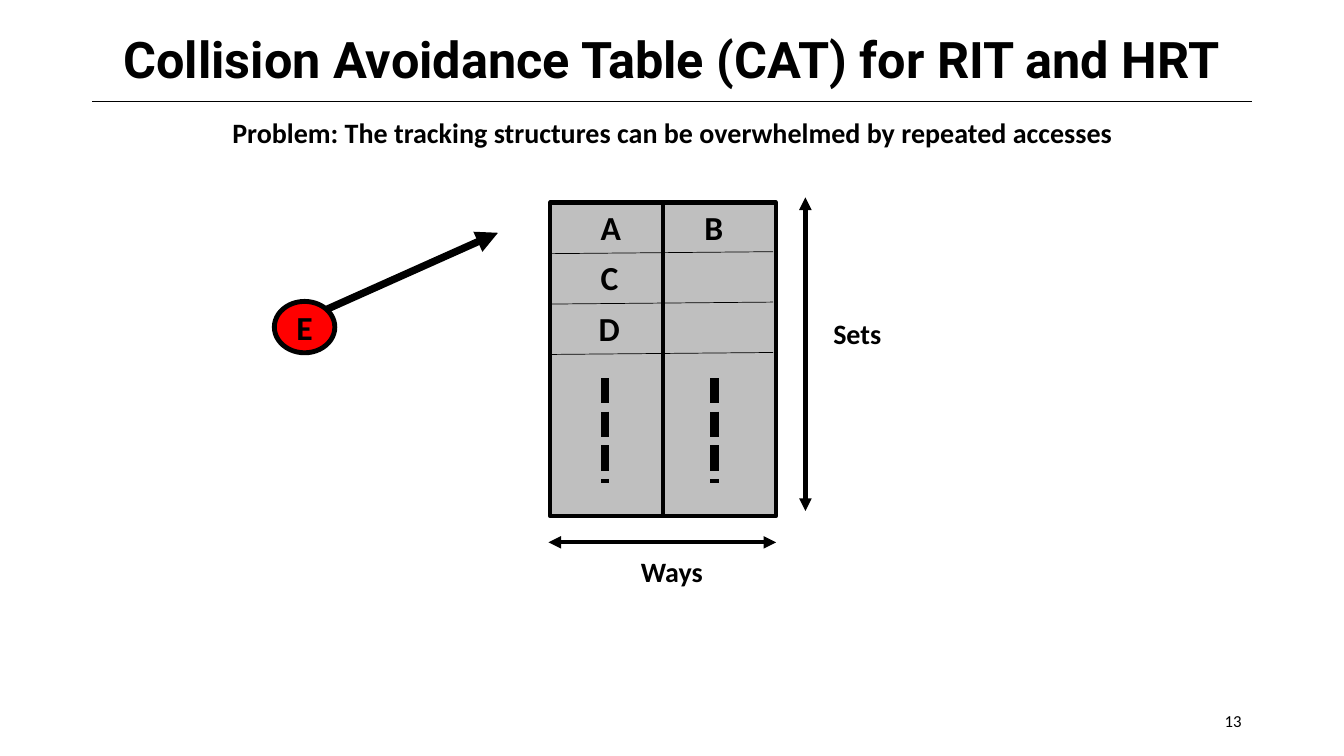
from lxml import etree
from pptx import Presentation
from pptx.dml.color import RGBColor
from pptx.enum.dml import MSO_LINE_DASH_STYLE as Dash
from pptx.enum.shapes import MSO_CONNECTOR as Connector, MSO_SHAPE as Shape
from pptx.enum.text import MSO_ANCHOR as Anchor, PP_ALIGN as Align
from pptx.oxml.ns import qn
from pptx.util import Pt

BLACK = RGBColor(0x00, 0x00, 0x00)
GRAY = RGBColor(0xBF, 0xBF, 0xBF)
RED = RGBColor(0xFF, 0x00, 0x00)


class Page:
    body_font = "Calibri"
    title_font = "Roboto"

    def __init__(self, deck):
        self.shapes = deck.slides.add_slide(deck.slide_layouts[6]).shapes

    def fill_frame(self, frame, text, size, bold=True, align=Align.CENTER,
                   font=None, spacing=None):
        para = frame.paragraphs[0]
        para.alignment = align
        if spacing:
            para.line_spacing = spacing
        span = para.add_run()
        span.text = text
        span.font.name = font or self.body_font
        span.font.size = Pt(size)
        span.font.bold = bold
        span.font.color.rgb = BLACK

    def text(self, left, top, width, height, text, size,
             anchor=Anchor.TOP, wrap=True, **style):
        box = self.shapes.add_textbox(Pt(left), Pt(top), Pt(width), Pt(height))
        box.text_frame.word_wrap = wrap
        box.text_frame.vertical_anchor = anchor
        self.fill_frame(box.text_frame, text, size, **style)

    def shape(self, kind, left, top, width, height, fill, weight):
        shape = self.shapes.add_shape(kind, Pt(left), Pt(top), Pt(width), Pt(height))
        shape.shadow.inherit = False
        shape.fill.solid()
        shape.fill.fore_color.rgb = fill
        shape.line.color.rgb = BLACK
        shape.line.width = Pt(weight)
        return shape

    def node(self, left, top, width, height, text):
        circle = self.shape(Shape.OVAL, left, top, width, height, RED, 3.5)
        frame = circle.text_frame
        frame.word_wrap = False
        frame.vertical_anchor = Anchor.MIDDLE
        self.fill_frame(frame, text, 24)

    def line(self, x1, y1, x2, y2, weight, dash=None, arrows=()):
        """Draw a straight line; arrows names its ends, headEnd before tailEnd."""
        line = self.shapes.add_connector(
            Connector.STRAIGHT, Pt(x1), Pt(y1), Pt(x2), Pt(y2))
        line.line.color.rgb = BLACK
        line.line.width = Pt(weight)
        if dash:
            line.line.dash_style = dash
        properties = line._element.spPr
        for end in arrows:
            etree.SubElement(properties.find(qn("a:ln")), qn(f"a:{end}"),
                             type="triangle")
        etree.SubElement(properties, qn("a:effectLst"))


def main():
    deck = Presentation()
    deck.slide_width, deck.slide_height = Pt(960), Pt(540)
    page = Page(deck)
    both_ends = ("headEnd", "tailEnd")

    page.line(66, 72.6, 894, 72.6, 0.5)
    page.text(51.8, 16.5, 856, 56.2,
              "Collision Avoidance Table (CAT) for RIT and HRT", 36,
              anchor=Anchor.MIDDLE, font=page.title_font, spacing=0.9)
    page.text(678, 500.5, 216, 28.8, "13", 12, anchor=Anchor.MIDDLE,
              bold=False, align=Align.RIGHT)
    page.text(117.4, 79.2, 725.8, 31.7,
              "Problem: The tracking structures can be overwhelmed "
              "by repeated accesses", 20)

    left, top, width, height = 393, 144.7, 161.3, 224
    row_height = 36
    middle = left + width / 2
    page.shape(Shape.RECTANGLE, left, top, width, height, GRAY, 3)
    page.line(middle, top, middle, top + height, 3)
    for row in range(1, 4):
        divider = top + row * row_height + 0.5
        page.line(391.8, divider, 552.2, divider - 1.4, 0.5)
    for x in (432, 510.5):
        page.line(x, 270, x, 345, 6, dash=Dash.SQUARE_DOT)
    for letter, x, row in (("A", 421.9, 0), ("B", 496.1, 0),
                           ("C", 421.9, 1), ("D", 420.5, 2)):
        page.text(x, 144.2 + row * row_height, 29.5, 36, letter, 24,
                  wrap=False, align=Align.LEFT)

    page.node(196, 215.3, 43.2, 36.7, "E")
    page.line(233.3, 221, 355.7, 166.3, 5.25, arrows=("tailEnd",))

    page.line(575.3, 141, 575.3, 365, 3, arrows=both_ends)
    page.line(391.8, 387.4, 554.4, 387.4, 3, arrows=both_ends)
    page.text(575.3, 222.5, 74.2, 31.7, "Sets", 20)
    page.text(442.8, 392.4, 74.2, 31.7, "Ways", 20)

    deck.save("out.pptx")


if __name__ == "__main__":
    main()
